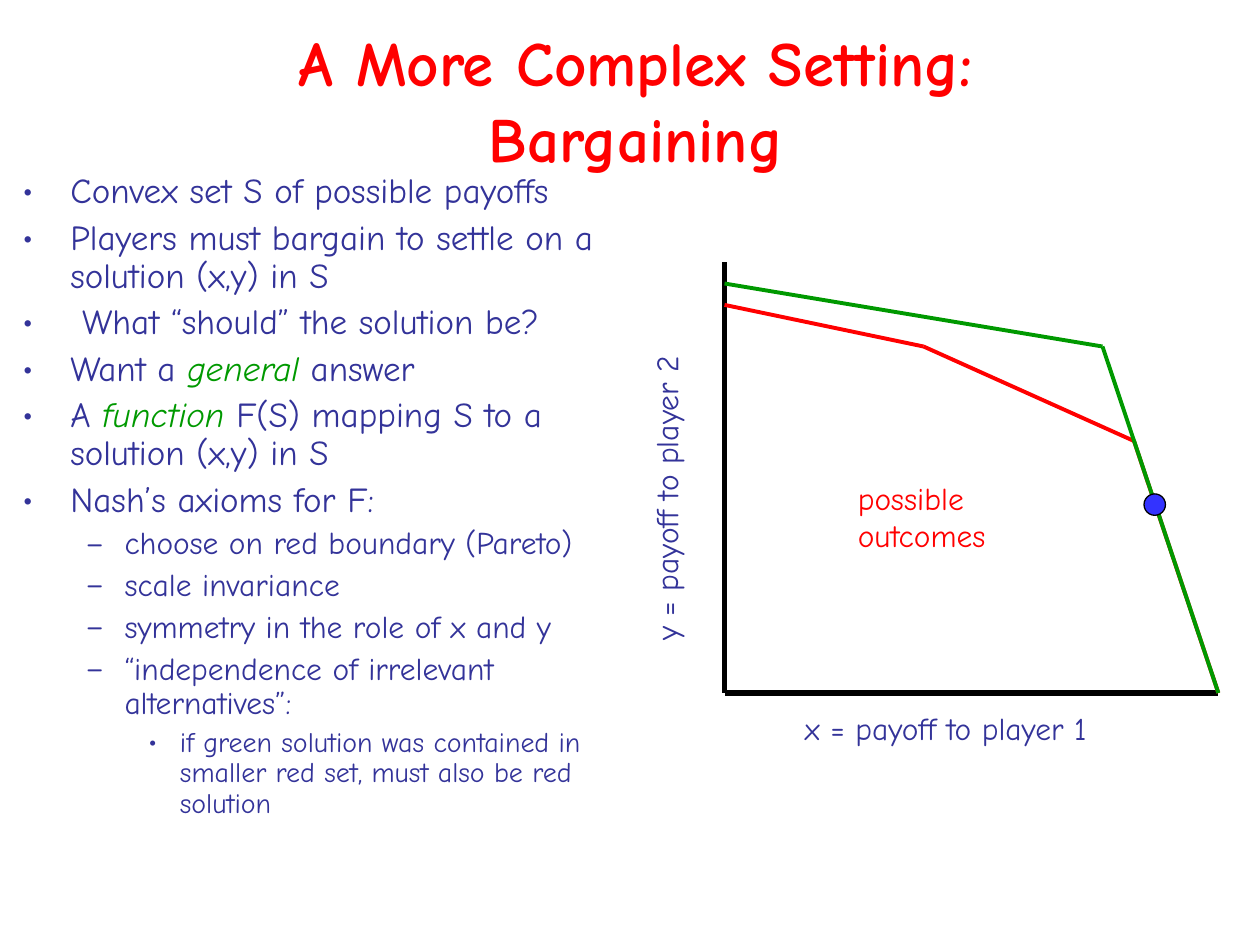
import itertools

import pptx
import pptx.dml.color
import pptx.enum.shapes
import pptx.enum.text
import pptx.oxml
import pptx.oxml.ns
import pptx.util

Inches = pptx.util.Inches
Pt = pptx.util.Pt
Anchor = pptx.enum.text.MSO_ANCHOR
Align = pptx.enum.text.PP_ALIGN
AutoSize = pptx.enum.text.MSO_AUTO_SIZE

THEME = {
    "font": "Comic Neue",
    "title": "FF0000",
    "body": "333399",
    "accent": "009900",
    "axis": "000000",
    "red set": "FF0000",
    "green set": "009900",
    "dot": "3333FF",
    "title size": 36,
    "label size": 18,
    "axis width": 3,
    "set width": 2.25,
}
LEVELS = [
    {"bullet": "•", "left": 0.38, "hang": 0.38, "size": 20, "before": 5},
    {"bullet": "–", "left": 0.81, "hang": 0.31, "size": 18, "before": 4.5},
    {"bullet": "•", "left": 1.25, "hang": 0.25, "size": 16, "before": 4},
]

TITLE = ["A More Complex Setting:", "Bargaining"]
POINTS = [
    (0, "Convex set S of possible payoffs"),
    (0, "Players must bargain to settle on a solution (x,y) in S"),
    (0, " What “should” the solution be?"),
    (0, "Want a *general* answer"),
    (0, "A *function* F(S) mapping S to a solution (x,y) in S"),
    (0, "Nash’s axioms for F:"),
    (1, "choose on red boundary (Pareto)"),
    (1, "scale invariance"),
    (1, "symmetry in the role of x and y"),
    (1, "“independence of irrelevant alternatives”:"),
    (2, "if green solution was contained in smaller red set, must also be red solution"),
]
LABELS = [
    (["x = payoff to player 1"], (6.29, 5.58, 2.45, 0.4), 0, "body"),
    (["y = payoff to player 2"], (4.05, 3.75, 2.47, 0.4), 270, "body"),
    (["possible", "outcomes"], (6.71, 3.75, 1.22, 0.7), 0, "red set"),
]
ORIGIN, X_END = (5.75, 5.5), (9.67, 5.5)
AXES = [(5.75, 2.08), ORIGIN, X_END]
RED_SET = [(5.75, 2.42), (7.33, 2.75), (9, 3.5), X_END]
GREEN_SET = [X_END, (8.75, 2.75), (5.75, 2.25)]
SOLUTION = (9.08, 3.92, 0.17, 0.17)


def rgb(name):
    """Return the theme colour with this name."""
    return pptx.dml.color.RGBColor.from_string(THEME[name])


def add_box(s, place, **formats):
    """Add a text box and return its text frame and shape."""
    sp = s.shapes.add_textbox(*map(Inches, place))
    tf = sp.text_frame
    for key, value in formats.items():
        setattr(tf, key, value)
    return tf, sp


def add_run(p, text, size, color, **formats):
    """Add one run in the theme font."""
    r = p.add_run()
    r.text = text
    r.font.color.rgb = rgb(color)
    formats.update(name=THEME["font"], size=Pt(size))
    for key, value in formats.items():
        setattr(r.font, key, value)


def paragraphs(tf):
    """Yield the first paragraph of a frame, then new ones."""
    yield tf.paragraphs[0]
    while True:
        yield tf.add_paragraph()


def set_bullet(p, level):
    """Give a paragraph the hanging bullet of its level."""
    pPr = p._p.get_or_add_pPr()
    pPr.set("marL", str(Inches(level["left"])))
    pPr.set("indent", str(-Inches(level["hang"])))
    ns = pptx.oxml.ns.nsdecls("a")
    for xml in (
        f'<a:buClr {ns}><a:srgbClr val="{THEME["body"]}"/></a:buClr>',
        f'<a:buFont {ns} typeface="{THEME["font"]}"/>',
        f'<a:buChar {ns} char="{level["bullet"]}"/>',
    ):
        pPr.append(pptx.oxml.parse_xml(xml))


def add_title(s):
    """Add the centred title."""
    tf, _ = add_box(s, (0.42, 0.33, 9.25, 0.92), word_wrap=True, vertical_anchor=Anchor.MIDDLE)
    p = tf.paragraphs[0]
    p.alignment = Align.CENTER
    for i, line in enumerate(TITLE):
        if i:
            p.add_line_break()
        add_run(p, line, THEME["title size"], "title", bold=True)


def add_points(s):
    """Add the bulleted list, with starred words in italic accent."""
    tf, _ = add_box(s, (0.08, 1.33, 5.08, 6), word_wrap=True)
    for i, ((depth, text), p) in enumerate(zip(POINTS, paragraphs(tf))):
        level = LEVELS[depth]
        p.level = depth
        p.line_spacing = 0.9
        p.space_before = Pt(level["before"] if i else 0)
        set_bullet(p, level)
        for j, part in enumerate(text.split("*")):
            starred = j % 2 == 1
            add_run(p, part, level["size"], "accent" if starred else "body", italic=starred)


def add_label(s, lines, place, rotation, color):
    """Add one chart label."""
    tf, sp = add_box(s, place, word_wrap=False, auto_size=AutoSize.SHAPE_TO_FIT_TEXT)
    sp.rotation = rotation
    for line, p in zip(lines, paragraphs(tf)):
        add_run(p, line, THEME["label size"], color)


def add_path(s, points, color, width):
    """Join successive points with straight lines."""
    for start, end in itertools.pairwise(points):
        line = s.shapes.add_connector(
            pptx.enum.shapes.MSO_CONNECTOR.STRAIGHT, *map(Inches, start + end)
        )
        line.line.color.rgb = rgb(color)
        line.line.width = Pt(width)
        spPr = line._element.spPr
        spPr.append(pptx.oxml.parse_xml(f'<a:effectLst {pptx.oxml.ns.nsdecls("a")}/>'))


def add_solution(s):
    """Mark the bargaining solution."""
    sp = s.shapes.add_shape(pptx.enum.shapes.MSO_SHAPE.OVAL, *map(Inches, SOLUTION))
    sp.shadow.inherit = False
    sp.fill.solid()
    sp.fill.fore_color.rgb = rgb("dot")
    sp.line.color.rgb = rgb("axis")
    sp.line.width = Pt(0.75)


def main():
    """Build the bargaining slide."""
    prs = pptx.Presentation()
    prs.slide_width, prs.slide_height = Inches(10), Inches(7.5)
    s = prs.slides.add_slide(prs.slide_layouts[6])
    add_title(s)
    add_path(s, AXES, "axis", THEME["axis width"])
    add_path(s, RED_SET, "red set", THEME["set width"])
    for label in LABELS:
        add_label(s, *label)
    add_points(s)
    add_path(s, GREEN_SET, "green set", THEME["set width"])
    add_solution(s)
    prs.save("out.pptx")


if __name__ == "__main__":
    main()
